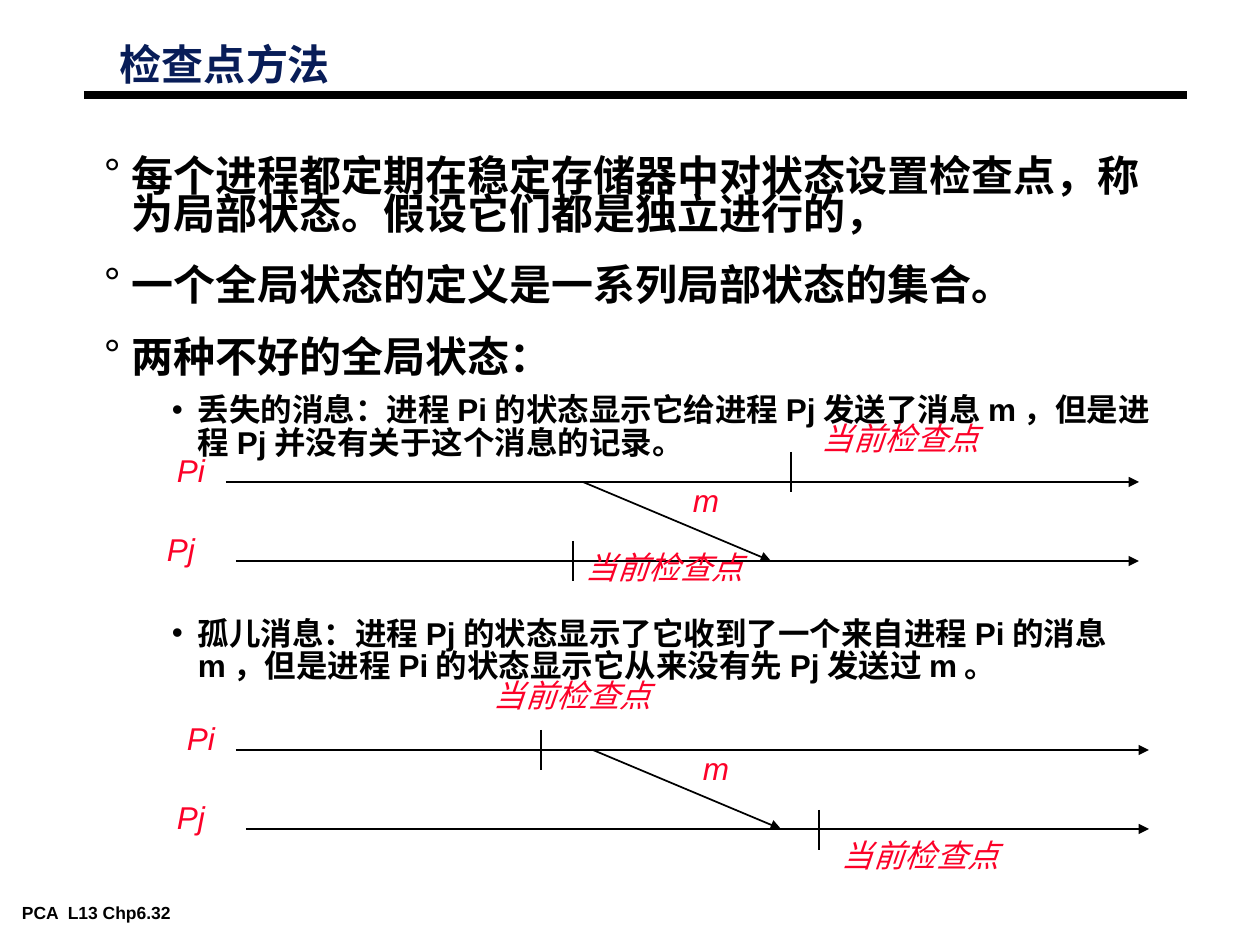
from lxml.etree import SubElement
from pptx import Presentation
from pptx.dml.color import RGBColor
from pptx.enum.shapes import MSO_CONNECTOR as Connector
from pptx.enum.text import MSO_ANCHOR as Anchor, MSO_AUTO_SIZE as AutoSize, PP_ALIGN as Align
from pptx.oxml.ns import qn
from pptx.util import Pt

EMU_PER_PX = 914400 / 126
COLORS = {"black": "000000", "title": "081D58", "label": "FC0128"}
FONT = "Arial"
TITLE_ONLY = 5


def px(length):
    return round(length * EMU_PER_PX)


class SlideBuilder:
    def __init__(self, presentation):
        self.slide = presentation.slides.add_slide(presentation.slide_layouts[TITLE_ONLY])

    def run(self, paragraph, text, size, color="black", bold=False, italic=False):
        run = paragraph.add_run()
        run.text = text
        font = run.font
        font.name, font.size, font.bold, font.italic = FONT, Pt(size), bold, italic
        font.color.rgb = RGBColor.from_string(COLORS[color])

    def frame(self, shape, inset_x, inset_y):
        frame = shape.text_frame
        frame.margin_left = frame.margin_right = px(inset_x)
        frame.margin_top = frame.margin_bottom = px(inset_y)
        frame.word_wrap = True
        frame.auto_size = AutoSize.NONE
        frame.vertical_anchor = Anchor.TOP
        return frame

    def title(self, text, left, top, width, height):
        shape = self.slide.shapes.title
        shape.left, shape.top, shape.width, shape.height = map(px, (left, top, width, height))
        paragraph = self.frame(shape, 9, 4).paragraphs[0]
        paragraph.alignment = Align.LEFT
        paragraph.line_spacing = 0.87
        self.run(paragraph, text, 24, "title", bold=True)

    def text_box(self, left, top, width, height, inset_x=9, inset_y=4):
        shape = self.slide.shapes.add_textbox(*map(px, (left, top, width, height)))
        return self.frame(shape, inset_x, inset_y)

    def label(self, text, left, top, width):
        paragraph = self.text_box(left, top, width, 50, 13, 6).paragraphs[0]
        self.run(paragraph, text, 18, "label", italic=True)

    def bullets(self, items, left, top, width, height):
        frame = self.text_box(left, top, width, height)
        for index, (level, space_before, text) in enumerate(items):
            paragraph = frame.paragraphs[0] if index == 0 else frame.add_paragraph()
            paragraph.level = level
            paragraph.line_spacing = (0.75, 0.85)[level]
            paragraph.space_before = Pt(space_before)
            properties = paragraph._p.get_or_add_pPr()
            properties.set("marL", str(px((28, 94)[level])))
            properties.set("indent", str(px((-28, -26)[level])))
            SubElement(properties, qn("a:buFont"), typeface=FONT)
            SubElement(properties, qn("a:buChar"), char="°•"[level])
            self.run(paragraph, text, (24, 18)[level], bold=True)

    def line(self, start, end, weight=1, arrow=False):
        line = self.slide.shapes.add_connector(Connector.STRAIGHT, *map(px, (*start, *end)))
        line.line.width = Pt(weight)
        line.line.color.rgb = RGBColor.from_string(COLORS["black"])
        if arrow:
            SubElement(line.line._get_or_add_ln(), qn("a:tailEnd"), type="triangle")
        SubElement(line._element.spPr, qn("a:effectLst"))

    def process_diagram(self, dx, dy, checkpoints):
        # Process time lines and the message between them
        for name, name_x, start_x, y in (("Pi", 164, 226, 482), ("Pj", 154, 236, 561)):
            self.line((start_x + dx, y + dy), (1139 + dx, y + dy), arrow=True)
            self.label(name, name_x + dx, y - 37 + dy, 64)
        self.line((583 + dx, 482 + dy), (771 + dx, 561 + dy), arrow=True)
        self.label("m", 680 + dx, 475 + dy, 60)
        # Checkpoint ticks
        for x, top, label_x, label_y in checkpoints:
            self.line((x, top), (x, top + 40))
            self.label("当前检查点", label_x, label_y, 200)


def main():
    presentation = Presentation()
    presentation.slide_width, presentation.slide_height = px(1260), px(945)
    builder = SlideBuilder(presentation)

    # Footer, heading and rule
    footer = builder.text_box(13, 898, 232, 28)
    builder.run(footer.paragraphs[0], "PCA  L13 Chp6.32", 10, bold=True)
    builder.line((84, 95), (1187, 95), weight=4.5)
    builder.title("检查点方法", 111, 41, 500, 50)

    # Body: the last item leaves room for the first diagram
    builder.bullets([
        (0, 19.5, "每个进程都定期在稳定存储器中对状态设置检查点，称为局部状态。假设它们都是独立进行的，"),
        (0, 19.5, "一个全局状态的定义是一系列局部状态的集合。"),
        (0, 19.5, "两种不好的全局状态："),
        (1, 9, "丢失的消息：进程Pi的状态显示它给进程Pj发送了消息m，但是进程Pj并没有关于这个消息的记录。"),
        (1, 91, "孤儿消息：进程Pj的状态显示了它收到了一个来自进程Pi的消息m，但是进程Pi的状态显示它从来没有先Pj发送过m。"),
    ], 95, 157, 1081, 539)

    # Lost message, then orphan message
    builder.process_diagram(0, 0, [(791, 452, 809, 413), (573, 541, 573, 542)])
    builder.process_diagram(10, 268, [(541, 730, 481, 670), (819, 810, 829, 830)])

    presentation.save("out.pptx")


if __name__ == "__main__":
    main()
